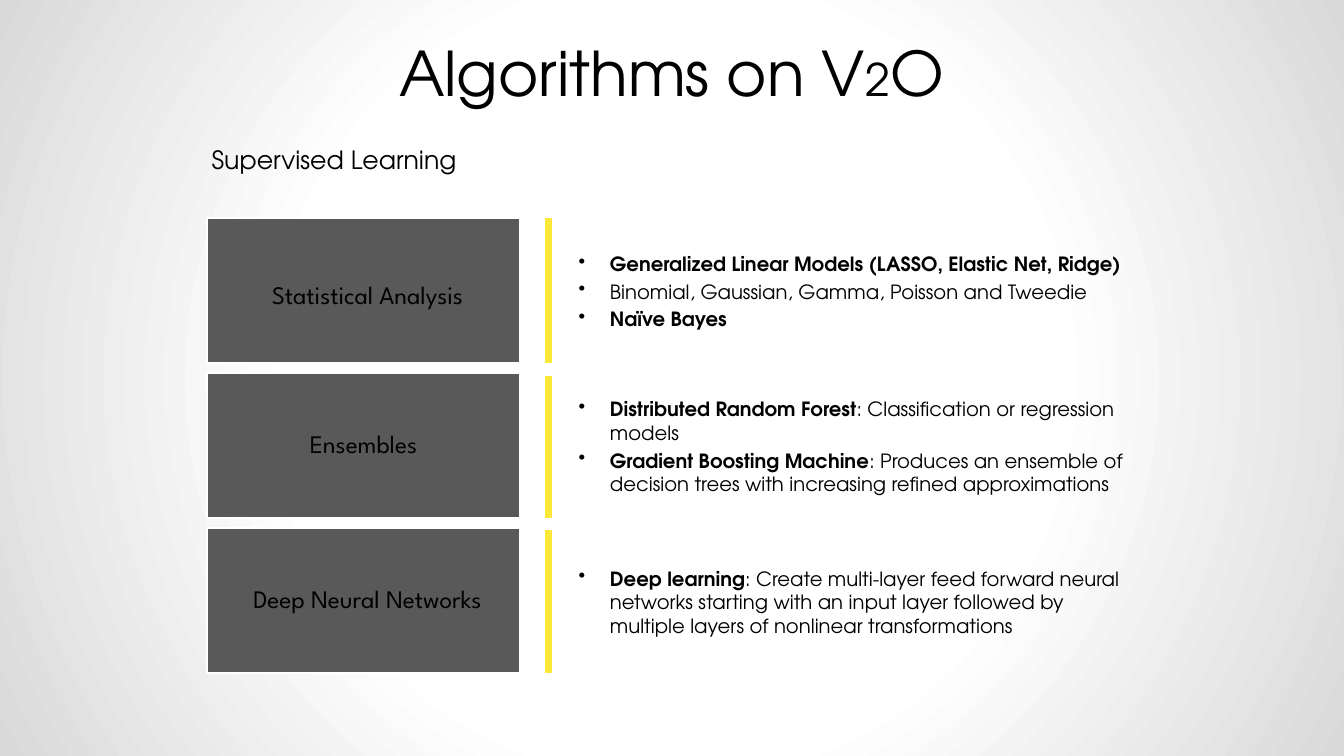
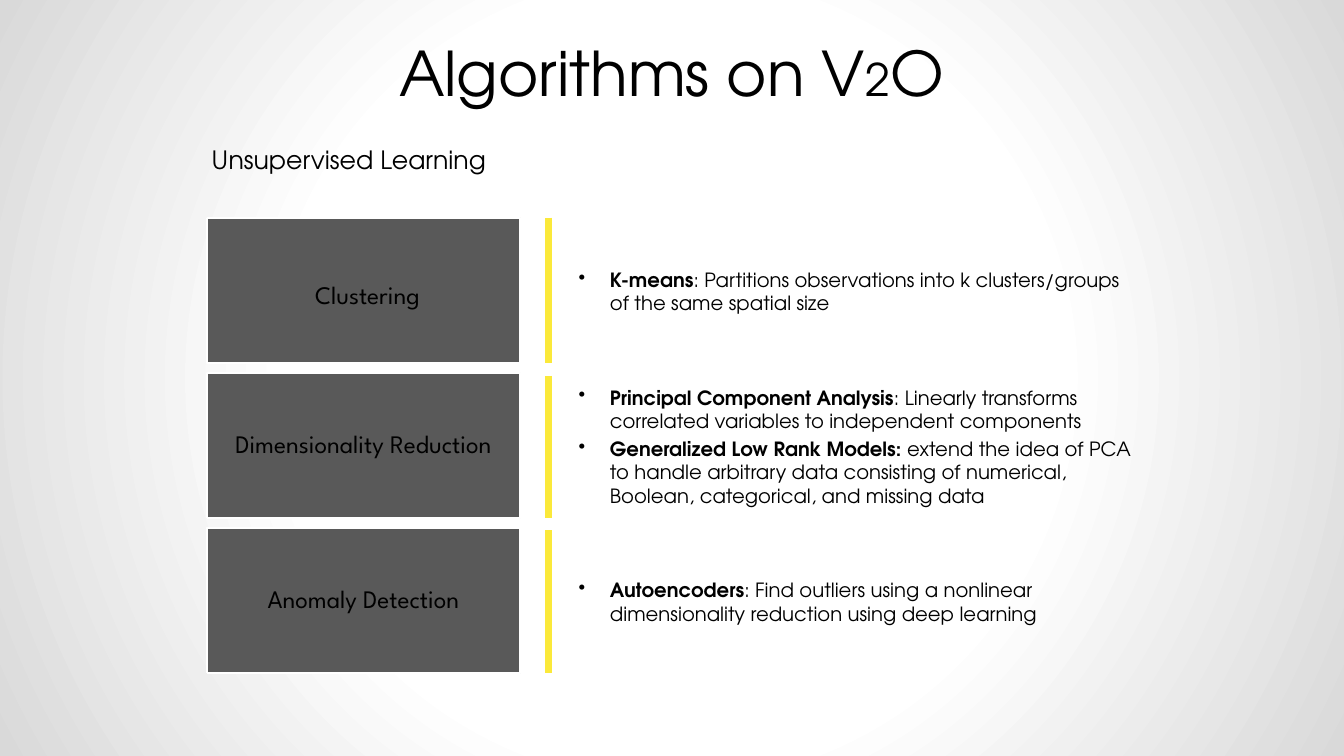
from dataclasses import dataclass

from lxml import etree
from pptx import Presentation
from pptx.dml.color import RGBColor
from pptx.enum.shapes import MSO_CONNECTOR, MSO_SHAPE
from pptx.enum.text import MSO_ANCHOR, PP_ALIGN
from pptx.oxml.ns import qn
from pptx.presentation import Presentation as Deck
from pptx.slide import Slide
from pptx.text.text import TextFrame, _Paragraph
from pptx.util import Inches, Pt

BLACK = RGBColor(0x00, 0x00, 0x00)
WHITE = RGBColor(0xFF, 0xFF, 0xFF)
EDGE_GRAY = RGBColor(0xD9, 0xD9, 0xD9)
CARD_GRAY = RGBColor(0x59, 0x59, 0x59)
YELLOW = RGBColor(0xFB, 0xE9, 0x3A)

BODY_FONT = "TeX Gyre Adventor"
LABEL_FONT = "League Spartan"

CARD_LEFT, CARD_WIDTH, CARD_HEIGHT = 2.05, 3.11, 1.44
BAR_X = 5.44
BULLETS_LEFT, BULLETS_WIDTH, BULLETS_HEIGHT = 5.72, 5.57, 1.46
BULLET_INDENT = 0.31
LABEL_INSET = 0.04


@dataclass(frozen=True)
class Row:
    top: float
    bar_top: float
    label_drop: float = 0


@dataclass(frozen=True)
class Bullet:
    bold: str = ""
    regular: str = ""


@dataclass(frozen=True)
class Family:
    label: str
    bullets: tuple[Bullet, ...]
    label_shift: float = 0


@dataclass(frozen=True)
class Topic:
    heading: str
    families: tuple[Family, ...]


ROWS = (Row(2.16, 2.16, label_drop=0.06), Row(3.7, 3.73), Row(5.24, 5.26))

TOPICS = (
    Topic("Supervised Learning", (
        Family("Statistical Analysis", (
            Bullet("Generalized Linear Models (LASSO, Elastic Net, Ridge)"),
            Bullet(regular="Binomial, Gaussian, Gamma, Poisson and Tweedie"),
            Bullet("Naïve Bayes"),
        ), label_shift=0.04),
        Family("Ensembles", (
            Bullet("Distributed Random Forest", ": Classification or regression models"),
            Bullet("Gradient Boosting Machine",
                   ": Produces an ensemble of decision trees with increasing "
                   "refined approximations"),
        )),
        Family("Deep Neural Networks", (
            Bullet("Deep learning",
                   ": Create multi-layer feed forward neural networks starting with "
                   "an input layer followed by multiple layers of nonlinear transformations"),
        ), label_shift=0.04),
    )),
    Topic("Unsupervised Learning", (
        Family("Clustering", (
            Bullet("K-means",
                   ": Partitions observations into k clusters/groups of the same spatial size"),
        ), label_shift=0.04),
        Family("Dimensionality Reduction", (
            Bullet("Principal Component Analysis",
                   ": Linearly transforms correlated variables to independent components"),
            Bullet("Generalized Low Rank Models: ",
                   "extend the idea of PCA to handle arbitrary data consisting of "
                   "numerical, Boolean, categorical, and missing data"),
        )),
        Family("Anomaly Detection", (
            Bullet("Autoencoders",
                   ": Find outliers using a nonlinear dimensionality reduction "
                   "using deep learning"),
        )),
    )),
)


def set_background(deck: Deck) -> None:
    master = deck.slide_master
    fill = master.background.fill
    fill.gradient()
    for stop, position, color in zip(fill.gradient_stops, (0.5, 1), (WHITE, EDGE_GRAY)):
        stop.position = position
        stop.color.rgb = color
    gradient = master.element.find(f".//{qn('p:bgPr')}/{qn('a:gradFill')}")
    gradient.remove(gradient.find(qn("a:lin")))
    circle = etree.SubElement(gradient, qn("a:path"), {"path": "circle"})
    sides = {side: "50000" for side in ("l", "t", "r", "b")}
    etree.SubElement(circle, qn("a:fillToRect"), sides)


def style(paragraph: _Paragraph, size: float, font: str = BODY_FONT) -> None:
    paragraph.font.name = font
    paragraph.font.size = Pt(size)
    paragraph.font.color.rgb = BLACK


def set_insets(frame: TextFrame, inset: float) -> None:
    frame.margin_left = frame.margin_right = Inches(inset)
    frame.margin_top = frame.margin_bottom = Inches(inset)


def add_text_frame(slide: Slide, left: float, top: float, width: float,
                   height: float, inset: float) -> TextFrame:
    box = slide.shapes.add_textbox(Inches(left), Inches(top), Inches(width), Inches(height))
    frame = box.text_frame
    frame.word_wrap = True
    set_insets(frame, inset)
    return frame


def add_title(slide: Slide) -> None:
    title = add_text_frame(slide, 1.9, 0.5, 9.52, 0.62, 0.05).paragraphs[0]
    style(title, 44)
    title.alignment = PP_ALIGN.CENTER
    title.line_spacing = 0.7
    title.add_run().text = "Algorithms on V"
    digit = title.add_run()
    digit.text = "2"
    digit.font.size = Pt(32)
    title.add_run().text = "O"


def add_heading(slide: Slide, text: str) -> None:
    heading = add_text_frame(slide, CARD_LEFT, 1.38, 8.96, 0.4, 0.05).paragraphs[0]
    heading.text = text
    style(heading, 18)


def add_card(slide: Slide, row: Row, family: Family) -> None:
    card = slide.shapes.add_shape(
        MSO_SHAPE.RECTANGLE, Inches(CARD_LEFT), Inches(row.top),
        Inches(CARD_WIDTH), Inches(CARD_HEIGHT))
    card.shadow.inherit = False
    card.fill.solid()
    card.fill.fore_color.rgb = CARD_GRAY
    card.line.color.rgb = WHITE
    card.line.width = Pt(1.5)
    frame = card.text_frame
    frame.word_wrap = True
    frame.vertical_anchor = MSO_ANCHOR.MIDDLE
    set_insets(frame, LABEL_INSET)
    frame.margin_left = Inches(LABEL_INSET + 2 * family.label_shift)
    frame.margin_top = Inches(LABEL_INSET + 2 * row.label_drop)
    label = frame.paragraphs[0]
    label.text = family.label
    label.alignment = PP_ALIGN.CENTER
    label.line_spacing = 0.9
    label.space_before = Pt(8)
    style(label, 18, LABEL_FONT)


def add_bar(slide: Slide, row: Row) -> None:
    bar = slide.shapes.add_connector(
        MSO_CONNECTOR.STRAIGHT, Inches(BAR_X), Inches(row.bar_top),
        Inches(BAR_X), Inches(row.top + CARD_HEIGHT))
    bar.line.color.rgb = YELLOW
    bar.line.width = Pt(4.5)
    etree.SubElement(bar.element.spPr, qn("a:effectLst"))


def set_bullet(paragraph: _Paragraph) -> None:
    properties = paragraph._p.get_or_add_pPr()
    properties.set("marL", str(Inches(BULLET_INDENT)))
    properties.set("indent", str(-Inches(BULLET_INDENT)))
    mark = etree.Element(qn("a:buChar"), {"char": "•"})
    properties.find(qn("a:defRPr")).addprevious(mark)


def add_bullets(slide: Slide, row: Row, bullets: tuple[Bullet, ...]) -> None:
    frame = add_text_frame(slide, BULLETS_LEFT, row.top, BULLETS_WIDTH, BULLETS_HEIGHT, 0.02)
    frame.vertical_anchor = MSO_ANCHOR.MIDDLE
    for index, bullet in enumerate(bullets):
        paragraph = frame.add_paragraph() if index else frame.paragraphs[0]
        paragraph.space_before = Pt(3)
        style(paragraph, 14)
        set_bullet(paragraph)
        for text, bold in ((bullet.bold, True), (bullet.regular, False)):
            if text:
                run = paragraph.add_run()
                run.text = text
                run.font.bold = bold


def add_topic(deck: Deck, topic: Topic) -> None:
    slide = deck.slides.add_slide(deck.slide_layouts[6])
    add_title(slide)
    add_heading(slide, topic.heading)
    for row, family in zip(ROWS, topic.families):
        add_card(slide, row, family)
        add_bar(slide, row)
        add_bullets(slide, row, family.bullets)


def main() -> None:
    deck = Presentation()
    deck.slide_width = Inches(13.33)
    deck.slide_height = Inches(7.5)
    set_background(deck)
    for topic in TOPICS:
        add_topic(deck, topic)
    deck.save("out.pptx")


if __name__ == "__main__":
    main()
